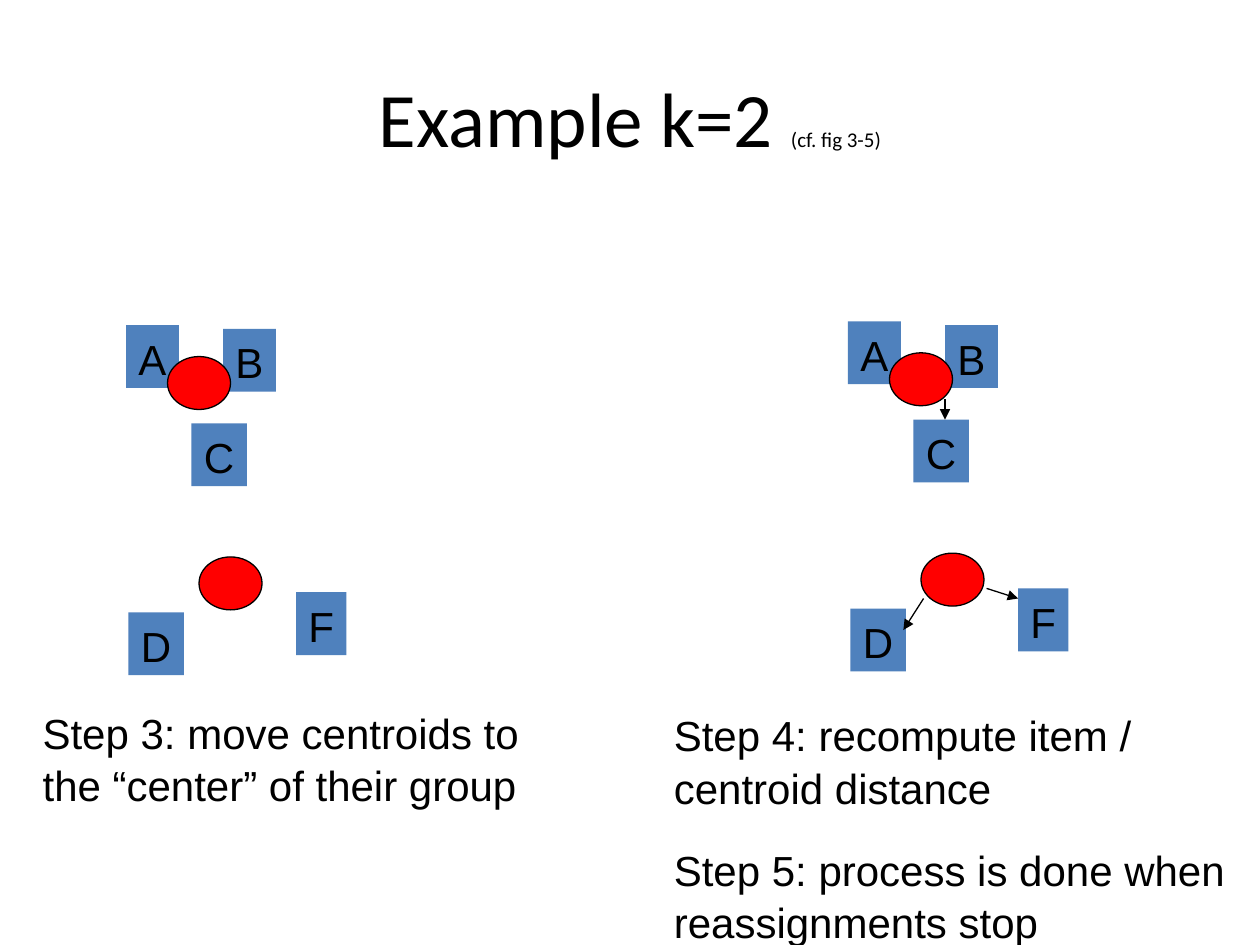
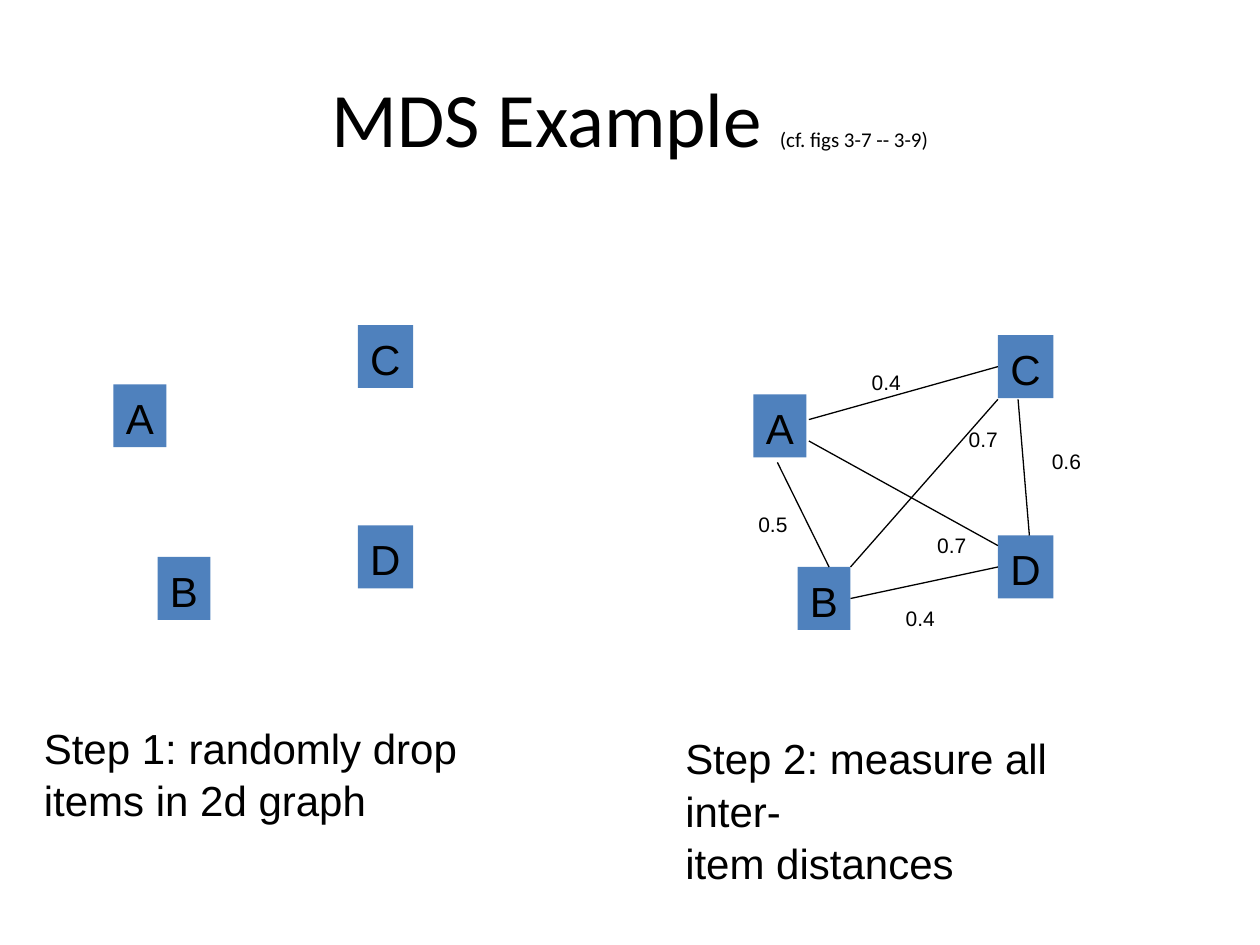
"""Build two slides that show clustering and scaling examples step by step."""
from dataclasses import dataclass
from typing import Any, Optional

from lxml import etree
from pptx import Presentation
from pptx import util as u
from pptx.dml.color import RGBColor
from pptx.enum import shapes, text
from pptx.oxml import ns

PX = 9144
BLACK, BLUE, RED = "000000", "4F81BD", "FF0000"
HEADING_FONT, BODY_FONT = "Calibri", "Arial"
TITLE_BOX = (50, 30, 900, 125)
BOX_HEIGHT = 50
BOX_WIDTHS = {"A": 42, "B": 42, "C": 44, "D": 44, "F": 40}
CENTROID_SIZE = (50, 42)
LABEL_SIZE = (43, 30)
STEP_GAP = 17
FRAME_FORMAT = {"word_wrap": False, "auto_size": text.MSO_AUTO_SIZE.SHAPE_TO_FIT_TEXT}


@dataclass(frozen=True)
class Item:
    letter: str
    left: int
    top: int


@dataclass(frozen=True)
class Caption:
    left: int
    top: int
    width: int
    height: int
    steps: tuple[tuple[str, ...], ...]


@dataclass(frozen=True)
class Link:
    start: tuple[int, int]
    end: tuple[int, int]
    begin_site: Optional[tuple[str, int]] = None
    end_site: Optional[tuple[str, int]] = None


@dataclass(frozen=True)
class Label:
    value: str
    left: int
    top: int


@dataclass(frozen=True)
class Panel:
    items: tuple[Item, ...]
    caption: Caption
    shift: tuple[int, int] = (0, 0)
    centroids: tuple[tuple[int, int], ...] = ()
    links: tuple[Link, ...] = ()
    arrows: bool = False
    labels: tuple[Label, ...] = ()


CLUSTER_ITEMS = (
    Item("A", 100, 258), Item("B", 177, 261), Item("C", 152, 336),
    Item("D", 102, 486), Item("F", 235, 470),
)
CENTROIDS = ((133, 283), (158, 442))
GRAPH_ITEMS = (
    Item("A", 90, 305), Item("B", 125, 442), Item("C", 284, 258), Item("D", 284, 417),
)

CLUSTER_PANELS = (
    Panel(
        CLUSTER_ITEMS,
        Caption(24, 555, 407, 90,
                (("Step 3: move centroids to", "the “center” of their group"),)),
        centroids=CENTROIDS,
    ),
    Panel(
        CLUSTER_ITEMS,
        Caption(525, 557, 457, 194,
                (("Step 4: recompute item /", "centroid distance"),
                 ("Step 5: process is done when", "reassignments stop"))),
        shift=(573, -3),
        centroids=CENTROIDS,
        links=(Link((750, 317), (750, 333)), Link((783, 467), (808, 475)),
               Link((733, 475), (717, 500))),
        arrows=True,
    ),
)
GRAPH_PANELS = (
    Panel(
        GRAPH_ITEMS,
        Caption(25, 567, 357, 90, (("Step 1: randomly drop", "items in 2d graph"),)),
    ),
    Panel(
        GRAPH_ITEMS,
        Caption(534, 575, 392, 90, (("Step 2: measure all inter-", "item distances"),)),
        shift=(508, 8),
        links=(
            Link((642, 333), (792, 292), end_site=("C", 1)),
            Link((617, 367), (658, 450)),
            Link((808, 317), (817, 425)),
            Link((675, 475), (792, 450), begin_site=("B", 3), end_site=("D", 1)),
            Link((642, 350), (792, 433)),
            Link((675, 450), (792, 317)),
        ),
        labels=(Label("0.4", 682, 288), Label("0.5", 592, 400), Label("0.6", 825, 350),
                Label("0.4", 709, 475), Label("0.7", 759, 333), Label("0.7", 734, 417)),
    ),
)


def px(*lengths: int) -> list[int]:
    """Turn pixel lengths into EMU."""
    return [length * PX for length in lengths]


def color(value: str) -> RGBColor:
    """Turn a hex string into a colour."""
    return RGBColor.from_string(value)


def apply_format(target: Any, values: dict[str, Any]) -> None:
    """Set every attribute named in the format values."""
    for name, value in values.items():
        setattr(target, name, value)


def format_font(font: Any, size: int, name: str = BODY_FONT) -> None:
    """Give a font its size, face and black colour."""
    apply_format(font, {"size": u.Pt(size), "name": name})
    font.color.rgb = color(BLACK)


def write_steps(shape: Any, steps: tuple[tuple[str, ...], ...], size: int) -> None:
    """Write each step as lines, with a gap ahead of every later step."""
    frame = shape.text_frame
    apply_format(frame, FRAME_FORMAT)
    paragraph = frame.paragraphs[0]
    for step_index, lines in enumerate(steps):
        for line_index, line in enumerate(lines):
            if step_index or line_index:
                paragraph = frame.add_paragraph()
            if step_index and not line_index:
                paragraph.space_before = u.Pt(STEP_GAP)
            apply_format(paragraph, {"text": line, "line_spacing": 1.04,
                                     "alignment": text.PP_ALIGN.LEFT})
            format_font(paragraph.font, size)


def outline(line: Any) -> None:
    """Draw a thin black line."""
    line.width = u.Pt(0.75)
    line.color.rgb = color(BLACK)


def add_filled(canvas: Any, kind: Any, box: tuple[int, ...], fill: str) -> Any:
    """Add a filled preset shape without outline or shadow."""
    shape = canvas.add_shape(kind, *px(*box))
    shape.shadow.inherit = False
    shape.fill.solid()
    shape.fill.fore_color.rgb = color(fill)
    shape.line.fill.background()
    return shape


def add_link(canvas: Any, link: Link, boxes: dict[str, Any], arrow: bool) -> None:
    """Add a straight line and join it where it meets the middle of a side."""
    connector = canvas.add_connector(
        shapes.MSO_CONNECTOR.STRAIGHT, *px(*link.start, *link.end))
    outline(connector.line)
    properties = connector._element.spPr
    if arrow:
        etree.SubElement(properties.find(ns.qn("a:ln")), ns.qn("a:tailEnd"), type="triangle")
    etree.SubElement(properties, ns.qn("a:effectLst"))
    for connect, site in ((connector.begin_connect, link.begin_site),
                          (connector.end_connect, link.end_site)):
        if site:
            letter, side = site
            connect(boxes[letter], side)


def add_panel(slide: Any, panel: Panel) -> None:
    """Add one step as a group of items, centroids, caption, links and labels."""
    canvas = slide.shapes.add_group_shape().shapes
    shift_x, shift_y = panel.shift
    boxes = {}
    for item in panel.items:
        box = (item.left + shift_x, item.top + shift_y, BOX_WIDTHS[item.letter], BOX_HEIGHT)
        boxes[item.letter] = add_filled(canvas, shapes.MSO_SHAPE.RECTANGLE, box, BLUE)
        boxes[item.letter].text_frame.vertical_anchor = text.MSO_ANCHOR.TOP
        write_steps(boxes[item.letter], ((item.letter,),), 24)
    for left, top in panel.centroids:
        box = (left + shift_x, top + shift_y, *CENTROID_SIZE)
        outline(add_filled(canvas, shapes.MSO_SHAPE.OVAL, box, RED).line)
    caption = panel.caption
    caption_box = canvas.add_textbox(
        *px(caption.left, caption.top, caption.width, caption.height))
    write_steps(caption_box, caption.steps, 24)
    for link in panel.links:
        add_link(canvas, link, boxes, panel.arrows)
    for label in panel.labels:
        label_box = canvas.add_textbox(*px(label.left, label.top, *LABEL_SIZE))
        write_steps(label_box, ((label.value,),), 12)


def add_slide(presentation: Any, heading: str, reference: str,
              panels: tuple[Panel, ...]) -> None:
    """Add a slide with its title, small reference and panels."""
    slide = presentation.slides.add_slide(presentation.slide_layouts[5])
    title = slide.shapes.title
    apply_format(title, dict(zip(("left", "top", "width", "height"), px(*TITLE_BOX))))
    title.text_frame.vertical_anchor = text.MSO_ANCHOR.MIDDLE
    paragraph = title.text_frame.paragraphs[0]
    paragraph.alignment = text.PP_ALIGN.CENTER
    for words, size in ((heading + " ", 44), (reference, 12)):
        run = paragraph.add_run()
        run.text = words
        format_font(run.font, size, HEADING_FONT)
    for panel in panels:
        add_panel(slide, panel)


def main() -> None:
    """Build and save the presentation."""
    presentation = Presentation()
    presentation.slide_width, presentation.slide_height = px(1000, 750)
    add_slide(presentation, "Example k=2", "(cf. fig 3-5)", CLUSTER_PANELS)
    add_slide(presentation, "MDS Example", "(cf. figs 3-7 -- 3-9)", GRAPH_PANELS)
    presentation.save("out.pptx")


if __name__ == "__main__":
    main()
